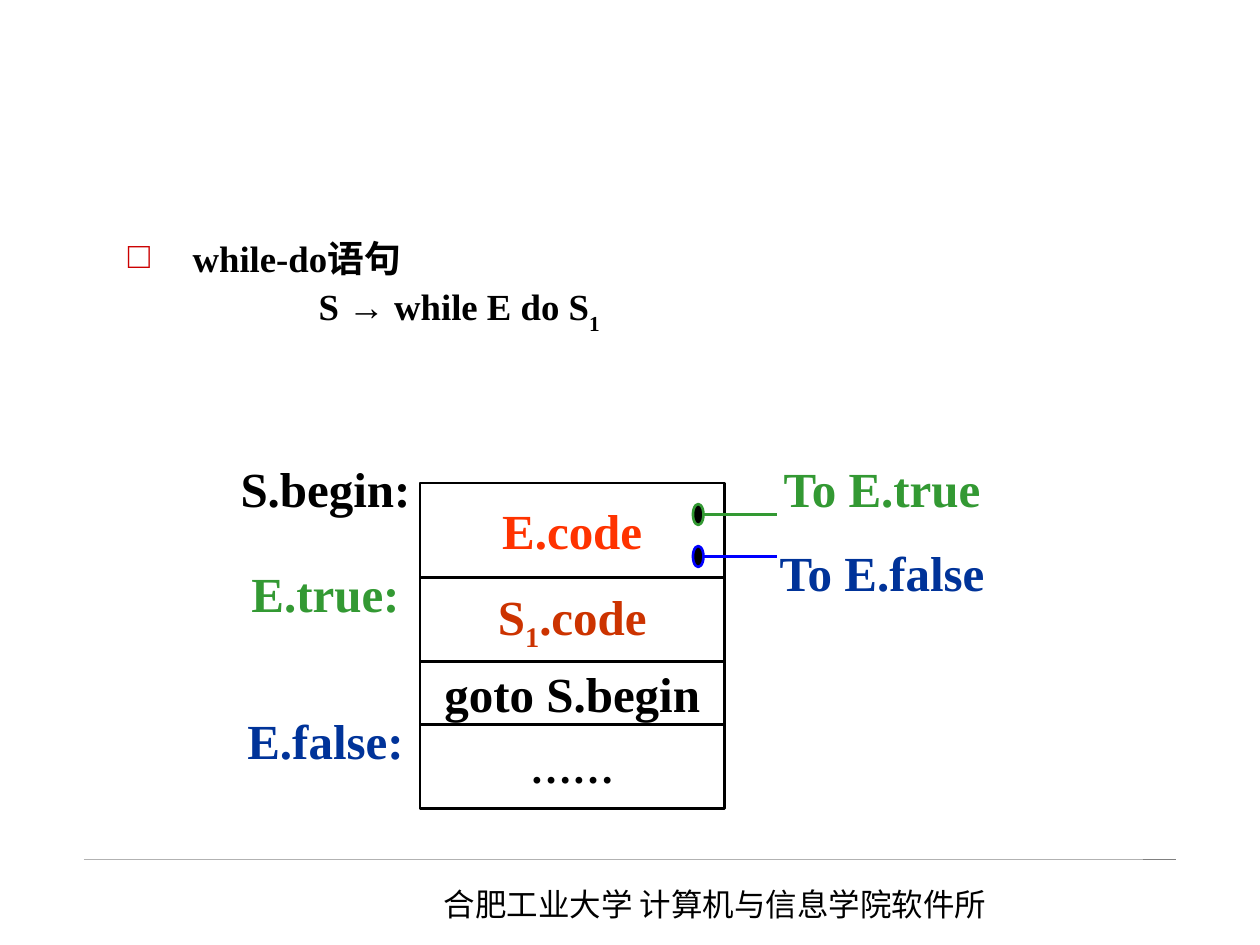
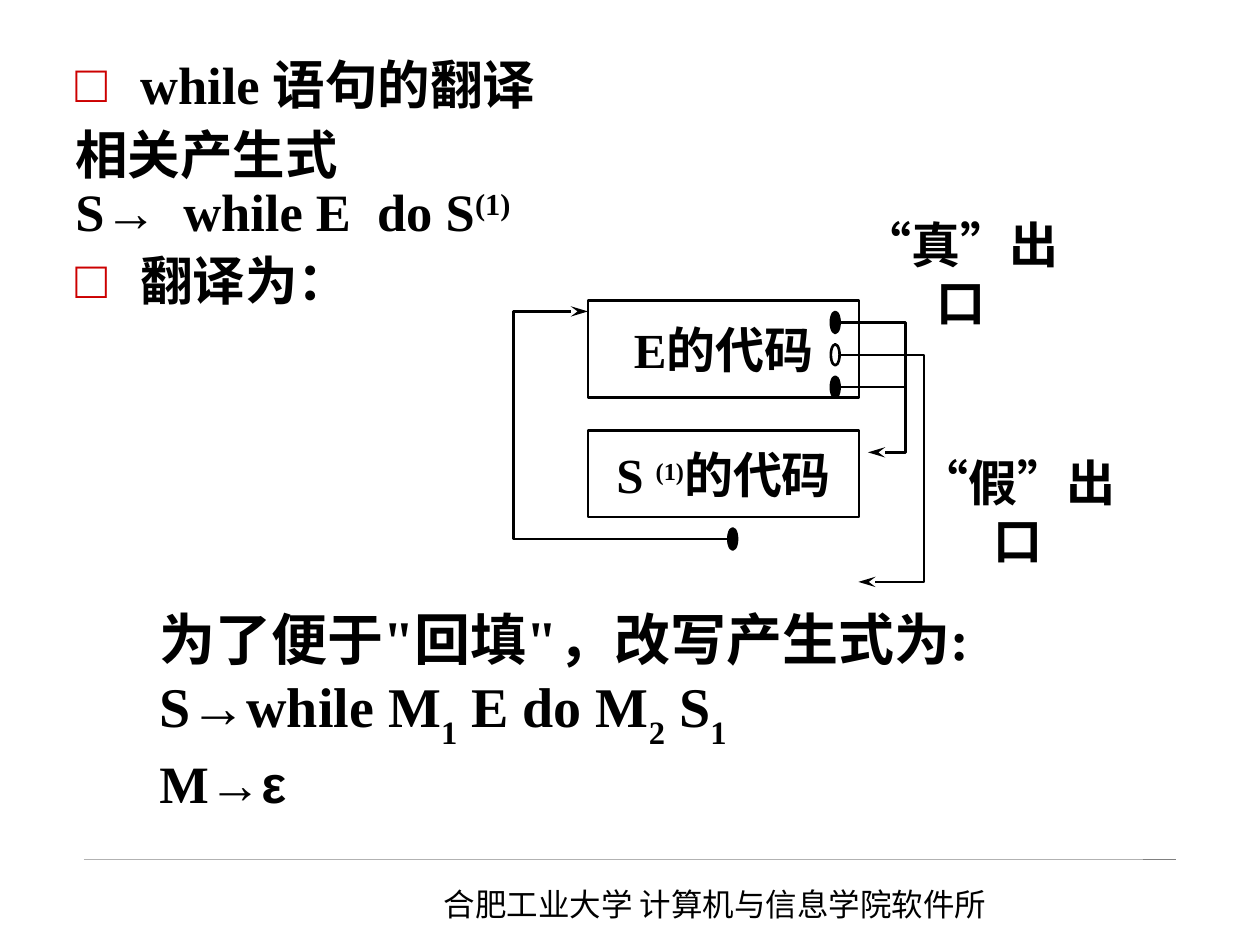
from lxml.etree import SubElement
from pptx import Presentation
from pptx.dml.color import RGBColor
from pptx.enum.shapes import MSO_CONNECTOR as Connector, MSO_SHAPE as Shape
from pptx.enum.text import MSO_ANCHOR as Anchor, PP_ALIGN as Align
from pptx.oxml.ns import qn
from pptx.util import Pt

BLACK = RGBColor(0x00, 0x00, 0x00)
RED = RGBColor(0xCC, 0x00, 0x00)
ORANGE = RGBColor(0xFF, 0x33, 0x00)
RUST = RGBColor(0xCC, 0x33, 0x00)
GREEN = RGBColor(0x33, 0x99, 0x33)
NAVY = RGBColor(0x00, 0x33, 0x99)
BLUE = RGBColor(0x00, 0x00, 0xFF)
LIGHT_GRAY = RGBColor(0xB2, 0xB2, 0xB2)
GRAY = RGBColor(0x80, 0x80, 0x80)

LATIN_FONT = "Times New Roman"
CHINESE_FONT = "Noto Sans CJK SC"
FOOTER = "合肥工业大学 计算机与信息学院软件所"
BULLET_INDENT = 37
LINE_WIDTH = 1.5
LABEL_WIDTH, LABEL_HEIGHT = 132, 42


def style_run(run, size, color=BLACK, bold=True, font=LATIN_FONT, baseline=0):
    """Format a run; baseline is the percentage it is raised or lowered."""
    run.font.size = Pt(size)
    run.font.bold = bold
    run.font.name = font
    run.font.color.rgb = color
    properties = run.font._element
    properties.set("lang", "zh-CN")
    if baseline:
        properties.set("baseline", str(baseline * 1000))
    east_asian = SubElement(properties, qn("a:ea"))
    east_asian.set("typeface", CHINESE_FONT)
    properties.find(qn("a:latin")).addnext(east_asian)


def fill_paragraph(paragraph, parts, **style):
    """Write parts, each a string or a (string, style changes) pair."""
    for part in [parts] if isinstance(parts, str) else parts:
        text, changes = (part, {}) if isinstance(part, str) else part
        run = paragraph.add_run()
        run.text = text
        style_run(run, **{**style, **changes})


def set_indent(paragraph, margin, first_line=0, bullet=False):
    properties = paragraph._p.get_or_add_pPr()
    properties.set("marL", str(Pt(margin)))
    properties.set("indent", str(Pt(first_line)))
    if bullet:
        color = SubElement(properties, qn("a:buClr"))
        SubElement(color, qn("a:srgbClr")).set("val", str(RED))
        SubElement(properties, qn("a:buFont")).set("typeface", LATIN_FONT)
        SubElement(properties, qn("a:buChar")).set("char", "□")


def add_text(slide, left, top, width, height):
    """Add a wrapping text box and return its text frame."""
    box = slide.shapes.add_textbox(Pt(left), Pt(top), Pt(width), Pt(height))
    box.text_frame.word_wrap = True
    return box.text_frame


def add_paragraphs(text_frame, rows):
    """Yield each paragraph with its row, starting with the existing one."""
    for index, row in enumerate(rows):
        yield (text_frame.add_paragraph() if index else text_frame.paragraphs[0]), row


def center_text(text_frame, parts, size=28, color=BLACK):
    text_frame.word_wrap = False
    text_frame.vertical_anchor = Anchor.MIDDLE
    paragraph = text_frame.paragraphs[0]
    paragraph.alignment = Align.CENTER
    fill_paragraph(paragraph, parts, size=size, color=color)


def add_label(slide, x, y, text, color=BLACK):
    """Add a one-line label centred on (x, y)."""
    text_frame = add_text(slide, x - LABEL_WIDTH / 2, y - LABEL_HEIGHT / 2,
                          LABEL_WIDTH, LABEL_HEIGHT)
    text_frame.margin_left = text_frame.margin_right = 0
    center_text(text_frame, text, color=color)


def outline(shape, color=BLACK, fill=None):
    shape.shadow.inherit = False
    shape.line.color.rgb = color
    shape.line.width = Pt(LINE_WIDTH)
    if fill is None:
        shape.fill.background()
    else:
        shape.fill.solid()
        shape.fill.fore_color.rgb = fill


def add_code_box(slide, left, top, width, height, parts, size=28, color=BLACK):
    box = slide.shapes.add_shape(Shape.RECTANGLE, Pt(left), Pt(top), Pt(width), Pt(height))
    outline(box)
    center_text(box.text_frame, parts, size, color)


def add_port(slide, x, y, width, color=BLACK, fill=BLACK):
    """Add a small oval centred on (x, y)."""
    height = 12
    port = slide.shapes.add_shape(
        Shape.OVAL, Pt(x - width / 2), Pt(y - height / 2), Pt(width), Pt(height))
    outline(port, color, fill)


def add_line(slide, start, end, y, color=BLACK, width=LINE_WIDTH):
    line = slide.shapes.add_connector(Connector.STRAIGHT, Pt(start), Pt(y), Pt(end), Pt(y))
    line.line.color.rgb = color
    line.line.width = Pt(width)
    SubElement(line._element.spPr, qn("a:effectLst"))


def add_jump(slide, points):
    """Add an open polyline that ends in a long arrowhead."""
    start, *rest = [(Pt(x), Pt(y)) for x, y in points]
    builder = slide.shapes.build_freeform(*start)
    builder.add_line_segments(rest, close=False)
    jump = builder.convert_to_shape()
    outline(jump)
    arrowhead = SubElement(jump.line._get_or_add_ln(), qn("a:tailEnd"))
    arrowhead.set("type", "stealth")
    arrowhead.set("len", "lg")


def add_slide(presentation):
    """Add a blank slide with the footer rule and the footer text."""
    slide = presentation.slides.add_slide(presentation.slide_layouts[6])
    add_line(slide, 48, 672, 491, LIGHT_GRAY, 0.25)
    add_line(slide, 653, 672, 491, GRAY, 0.25)
    paragraph = add_text(slide, 246.6, 502, 363, 29).paragraphs[0]
    paragraph.space_before = Pt(11.2)
    fill_paragraph(paragraph, FOOTER, size=18, bold=False, font=CHINESE_FONT)
    return slide


def build_while_do_layout(presentation):
    slide = add_slide(presentation)
    heading = add_text(slide, 66, 138, 618, 54)
    rows = [("while-do语句", BULLET_INDENT, -BULLET_INDENT, True),
            (["S → while E do S", ("1", {"baseline": -30})], BULLET_INDENT + 72, 0, False)]
    for paragraph, (parts, margin, first_line, bullet) in add_paragraphs(heading, rows):
        paragraph.line_spacing = 0.7
        paragraph.space_before = Pt(7.5)
        set_indent(paragraph, margin, first_line, bullet)
        fill_paragraph(paragraph, parts, size=21)

    top = 276
    for parts, height, size, color in [
        ("E.code", 54, 28, ORANGE),
        (["S", ("1", {"baseline": -25}), ".code"], 48, 28, RUST),
        ("goto S.begin", 36, 28, BLACK),
        ("……", 48, 24, BLACK),
    ]:
        add_code_box(slide, 240, top, 174, height, parts, size, color)
        top += height

    for y, color in [(294, GREEN), (318, BLUE)]:
        add_line(slide, 402, 444, y, color)
        add_port(slide, 399, y, 6, color)

    entry_x, exit_x = 186, 504
    for text, x, y, color in [
        ("S.begin:", entry_x, 279, BLACK),
        ("E.true:", entry_x, 339, GREEN),
        ("E.false:", entry_x, 423, NAVY),
        ("To E.true", exit_x, 279, GREEN),
        ("To E.false", exit_x, 327, NAVY),
    ]:
        add_label(slide, x, y, text, color)


def build_while_translation(presentation):
    slide = add_slide(presentation)
    body = add_text(slide, 36, 30.3, 588, 174)
    rows = [("while 语句的翻译", True, 7.5),
            ("相关产生式", False, 7.5),
            (["S→  while E  do S", ("(1)", {"baseline": 30})], False, 0),
            ("翻译为：", True, 7.5)]
    for paragraph, (parts, bullet, space) in add_paragraphs(body, rows):
        paragraph.line_spacing = 0.9
        paragraph.space_before = Pt(space)
        set_indent(paragraph, BULLET_INDENT, -BULLET_INDENT, bullet)
        fill_paragraph(paragraph, parts, size=30)

    add_code_box(slide, 336, 171.75, 155, 55.5, "E的代码")
    add_code_box(slide, 336, 246, 155, 49.5,
                 ["S ", ("(1)", {"size": 24, "baseline": 30}), "的代码"])

    port_x, exit_x = 477.3, 480
    true_y, false_y, second_true_y = [184.25 + 18.5 * row for row in range(3)]
    true_x, false_x, loop_x = 517.5, 528, 293.4
    add_jump(slide, [(exit_x, false_y), (false_x, false_y), (false_x, 332.5), (490.5, 332.5)])
    add_jump(slide, [(exit_x, true_y), (true_x, true_y), (true_x, 258.5), (496, 258.5)])
    add_line(slide, exit_x, true_x, second_true_y)
    for y, fill in [(true_y, BLACK), (false_y, None), (second_true_y, BLACK)]:
        add_port(slide, port_x, y, 5, fill=fill)
    add_port(slide, 418.7, 308, 5)
    add_jump(slide, [(416, 308), (loop_x, 308), (loop_x, 178), (336, 178)])

    add_label(slide, 549, 156, "“真”出口")
    add_label(slide, 581.5, 292, "“假”出口")

    subscript = {"baseline": -30}
    rewrite = add_text(slide, 84, 342, 534, 162)
    rows = [("为了便于\"回填\"，改写产生式为:", 32),
            (["S→while M", ("1", subscript), " E do M", ("2", subscript),
              " S", ("1", subscript)], 32),
            (["M→", ("ε", {"font": "Arial"})], 30)]
    for paragraph, (parts, size) in add_paragraphs(rewrite, rows):
        fill_paragraph(paragraph, parts, size=size)


def main():
    presentation = Presentation()
    presentation.slide_width = Pt(720)
    presentation.slide_height = Pt(540)
    build_while_do_layout(presentation)
    build_while_translation(presentation)
    presentation.save("out.pptx")


if __name__ == "__main__":
    main()
